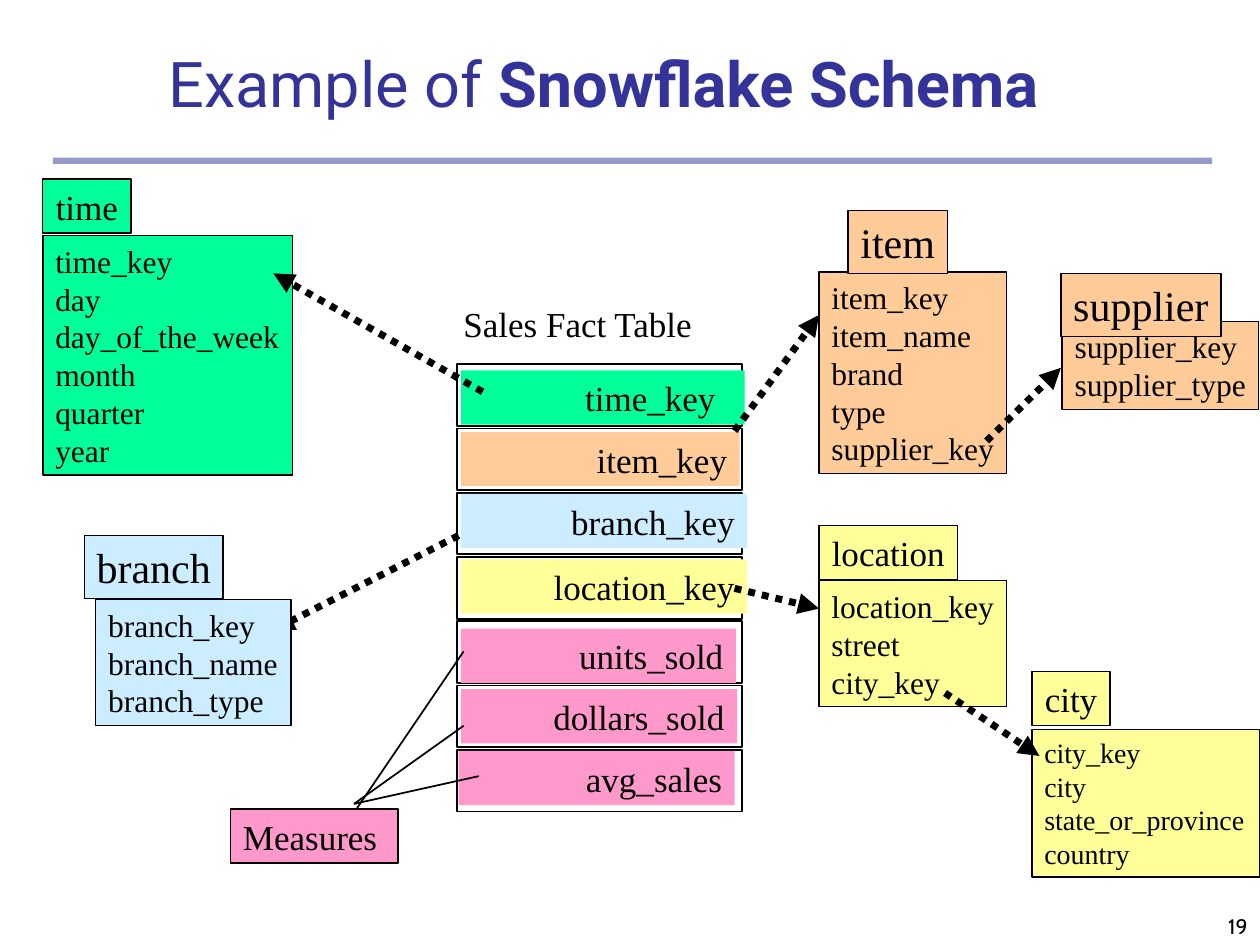
from lxml.etree import SubElement
from pptx import Presentation
from pptx.dml.color import RGBColor
from pptx.enum.dml import MSO_LINE
from pptx.enum.shapes import MSO_CONNECTOR, MSO_SHAPE
from pptx.enum.text import MSO_ANCHOR, MSO_AUTO_SIZE, PP_ALIGN
from pptx.oxml.ns import qn
from pptx.util import Inches, Pt

SERIF = "Times New Roman"
BLACK, NAVY = "000000", "333399"
GREEN, ORANGE, BLUE, YELLOW, PINK = "00FF99", "FFCC99", "CCECFF", "FFFF99", "FF99CC"


def color(hex_string):
    return RGBColor.from_string(hex_string)


def write(paragraph, text, size=20, font=SERIF, ink=BLACK, bold=False):
    run = paragraph.add_run()
    run.text = text
    run.font.size, run.font.name, run.font.bold = Pt(size), font, bold
    run.font.color.rgb = color(ink)


def add_box(slide, box, lines=(), fill=None, border=None, align=PP_ALIGN.LEFT,
            anchor=MSO_ANCHOR.TOP, wrap=True, right_inset=0.1, **text_format):
    """Rectangle with an optional fill, border and one paragraph per line."""
    panel = slide.shapes.add_shape(MSO_SHAPE.RECTANGLE, *map(Inches, box))
    panel.shadow.inherit = False
    if fill:
        panel.fill.solid()
        panel.fill.fore_color.rgb = color(fill)
    else:
        panel.fill.background()
    if border:
        panel.line.color.rgb = color(BLACK)
        panel.line.width = Pt(border)
    else:
        panel.line.fill.background()
    frame = panel.text_frame
    frame.word_wrap, frame.vertical_anchor = wrap, anchor
    frame.margin_right = Inches(right_inset)
    for index, line in enumerate(lines):
        paragraph = frame.paragraphs[0] if index == 0 else frame.add_paragraph()
        paragraph.alignment = align
        write(paragraph, line, **text_format)
    return panel


def add_line(slide, start, end, arrow=False):
    connector = slide.shapes.add_connector(
        MSO_CONNECTOR.STRAIGHT, *map(Inches, (*start, *end)))
    connector.line.color.rgb = color(BLACK)
    connector.line.width = Pt(4 if arrow else 1)
    if arrow:
        connector.line.dash_style = MSO_LINE.ROUND_DOT
        SubElement(connector.line._get_or_add_ln(), qn("a:tailEnd"), type="triangle")
    SubElement(connector._element.spPr, qn("a:effectLst"))


def add_heading(slide):
    # Rule below the title
    rule = add_box(slide, (0.42, 1.25, 9.2, 0.05), fill=NAVY)
    tint = rule._element.spPr.find(qn("a:solidFill"))[0]
    SubElement(tint, qn("a:alpha"), val="50000")
    # Slide number
    add_box(slide, (7.92, 7, 2.08, 0.5), ["19"], align=PP_ALIGN.RIGHT,
            anchor=MSO_ANCHOR.BOTTOM, size=12, font="Cabin")
    # Title
    title = slide.shapes.title
    title.left, title.top, title.width, title.height = map(Inches, (0.54, 0.45, 8.5, 0.55))
    frame = title.text_frame
    frame.auto_size, frame.vertical_anchor = MSO_AUTO_SIZE.NONE, MSO_ANCHOR.BOTTOM
    heading = frame.paragraphs[0]
    heading.alignment = PP_ALIGN.CENTER
    for text, bold in (("Example of ", False), ("Snowflake Schema", True)):
        write(heading, text, size=36, font="Roboto", ink=NAVY, bold=bold)


def add_fact_table(slide, left, top):
    add_box(slide, (left - 0.05, top - 0.54, 2.04, 0.43), ["Sales Fact Table"])
    # Field, fill, then the bar's offset in its cell, its width and right inset
    rows = [
        ("time_key", GREEN, 0.03, 0.05, 2.25, 0.23),
        ("item_key", ORANGE, 0.03, 0.03, 2.21, 0.1),
        ("branch_key", BLUE, 0.03, 0.01, 2.27, 0.1),
        ("location_key", YELLOW, 0.03, 0.02, 2.27, 0.1),
        ("units_sold", PINK, 0.03, 0.06, 2.18, 0.1),
        ("dollars_sold", PINK, 0.03, 0.03, 2.19, 0.1),
        ("avg_sales", PINK, 0.01, 0.01, 2.19, 0.1),
    ]
    for index, (field, fill, dx, dy, width, inset) in enumerate(rows):
        row_top = top + index * 0.51
        add_box(slide, (left, row_top, 2.26, 0.49), border=1)
        add_box(slide, (left + dx, row_top + dy, width, 0.43), [field], fill=fill,
                align=PP_ALIGN.RIGHT, right_inset=inset)


def add_measures(slide, left, top):
    add_box(slide, (left, top, 1.33, 0.43), ["Measures"], fill=PINK, border=0.75)
    for start, end in (((1, 0), (1.85, -1.25)), ((0.98, -0.04), (1.85, -0.66)),
                       ((0.98, -0.04), (1.97, -0.26))):
        add_line(slide, (left + start[0], top + start[1]), (left + end[0], top + end[1]))


def add_dimension(slide, left, top, width, height, name, fields, fill,
                  tab, name_size=20, field_size=18):
    """Field list with a name tab, whose box is given from the list's corner."""
    add_box(slide, (left, top, width, height), fields.split(), fill=fill,
            border=0.75, wrap=False, size=field_size)
    dx, dy, tab_width, tab_height = tab
    add_box(slide, (left + dx, top + dy, tab_width, tab_height), [name], fill=fill,
            border=0.75, wrap=False, align=PP_ALIGN.CENTER,
            anchor=MSO_ANCHOR.MIDDLE, size=name_size)


presentation = Presentation()
presentation.slide_width, presentation.slide_height = Inches(10), Inches(7.5)
slide = presentation.slides.add_slide(presentation.slide_layouts[5])

add_heading(slide)

# Dimensions behind the arrows
add_dimension(slide, 0.34, 1.87, 1.98, 1.9, "time",
              "time_key day day_of_the_week month quarter year", GREEN,
              tab=(0, -0.45, 0.7, 0.43))
add_dimension(slide, 6.5, 4.61, 1.49, 1, "location",
              "location_key street city_key", YELLOW, tab=(0, -0.44, 1.1, 0.43))

add_fact_table(slide, 3.63, 2.89)
add_measures(slide, 1.83, 6.42)

# Arrows from the fact table to its dimensions
for start, end in (((3.64, 4.25), (2.17, 5)), ((3.83, 3.11), (2.17, 2.17)),
                   ((5.83, 4.67), (6.5, 4.83)), ((5.83, 3.42), (6.5, 2.5))):
    add_line(slide, start, end, arrow=True)

# Dimensions in front of the arrows
add_dimension(slide, 6.5, 2.16, 1.49, 1.6, "item",
              "item_key item_name brand type supplier_key", ORANGE,
              tab=(0.23, -0.49, 0.79, 0.5), name_size=24)
add_dimension(slide, 0.76, 4.76, 1.55, 1, "branch",
              "branch_key branch_name branch_type", BLUE,
              tab=(-0.09, -0.51, 1.1, 0.5), name_size=24)

# Normalized tables with the arrows that lead to them
add_dimension(slide, 8.43, 2.55, 1.56, 0.7, "supplier",
              "supplier_key supplier_type", ORANGE,
              tab=(-0.01, -0.38, 1.27, 0.5), name_size=24)
add_line(slide, (7.83, 3.5), (8.42, 2.92), arrow=True)
add_dimension(slide, 8.19, 5.79, 1.81, 1.17, "city",
              "city_key city state_or_province country", YELLOW,
              tab=(0, -0.46, 0.62, 0.43), field_size=16)
add_line(slide, (7.5, 5.5), (8.25, 6), arrow=True)

presentation.save("out.pptx")
